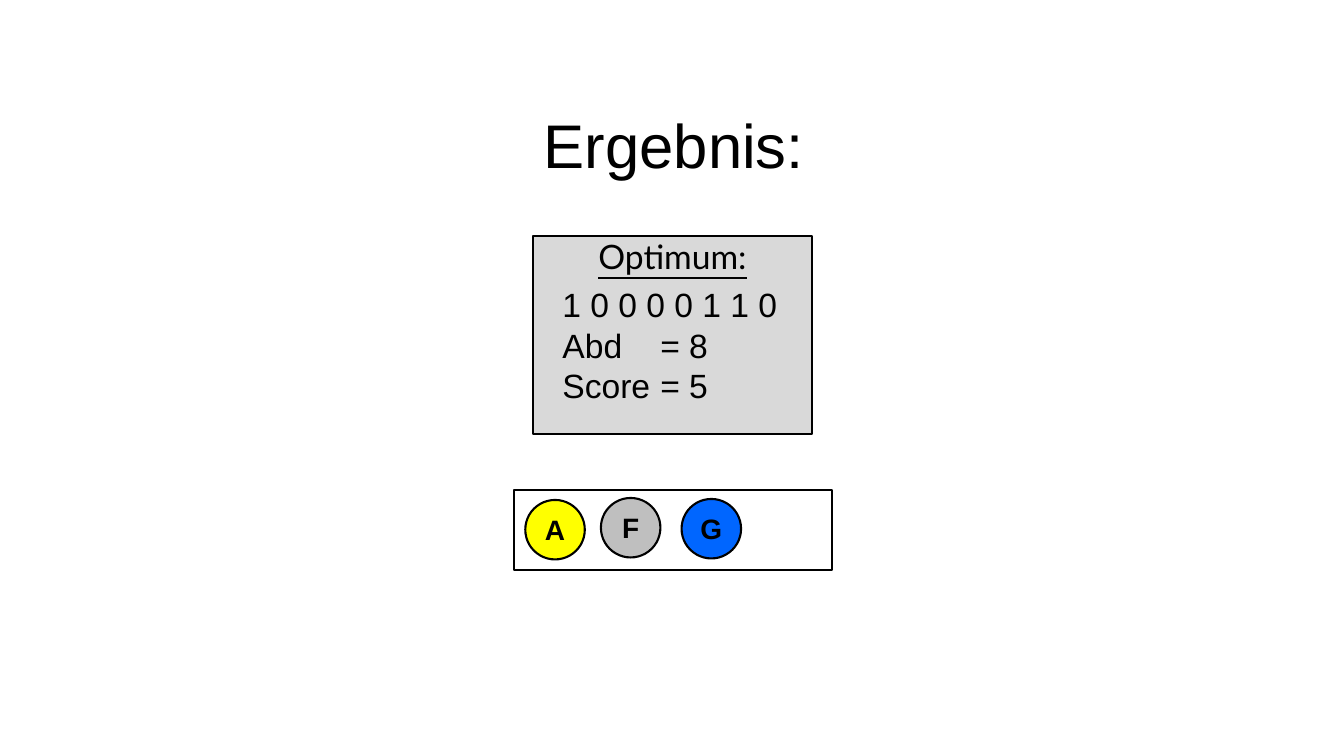
from lxml import etree
from pptx import Presentation, util as u
from pptx.dml.color import RGBColor
from pptx.enum import shapes, text
from pptx.oxml.ns import qn

WIDE, HIGH = 13.33, 7.5
HUES = {"ink": "000000", "white": "FFFFFF", "panel": "D9D9D9",
        "yellow": "FFFF00", "grey": "BFBFBF", "blue": "0066FF"}
TITLE = "Ergebnis:"
HEAD = "Optimum:"
FACTS = ["1 0 0 0 0 1 1 0", "Abd\t= 8", "Score\t= 5"]
ITEMS = [("A", "yellow", 5.21, 4.96), ("F", "grey", 5.96, 4.94),
         ("G", "blue", 6.76, 4.95)]
DISC = 0.59
TAB = 0.97

BIG = {"name": "Arial", "size": u.Pt(44)}
TOP = {"name": "Lato", "size": u.Pt(24), "underline": True}
BODY = {"name": "Arial", "size": u.Pt(24)}
MARK = {"name": "Arial", "size": u.Pt(20), "bold": True}
MID, LEFT = text.PP_ALIGN.CENTER, text.PP_ALIGN.LEFT
RECT, OVAL = shapes.MSO_SHAPE.RECTANGLE, shapes.MSO_SHAPE.OVAL

deck = Presentation()
deck.slide_width, deck.slide_height = u.Inches(WIDE), u.Inches(HIGH)
slide = deck.slides.add_slide(deck.slide_layouts[6])


def color(name):
    return RGBColor.from_string(HUES[name])


def inches(box):
    return [u.Inches(side) for side in box]


def write(shape, lines, font, align=MID, tab=None, **frame):
    body = shape.text_frame
    for key, value in {"word_wrap": True, **frame}.items():
        setattr(body, key, value)
    for num, line in enumerate(lines):
        para = body.add_paragraph() if num else body.paragraphs[0]
        para.alignment = align
        if tab:
            stops = etree.SubElement(para._p.get_or_add_pPr(), qn("a:tabLst"))
            etree.SubElement(stops, qn("a:tab"), pos=str(u.Inches(tab)), algn="l")
        run = para.add_run()
        run.text = line
        for key, value in font.items():
            setattr(run.font, key, value)
        run.font.color.rgb = color("ink")
    return body


def draw(kind, box, fill):
    shape = slide.shapes.add_shape(kind, *inches(box))
    shape.shadow.inherit = False
    shape.fill.solid()
    shape.fill.fore_color.rgb = color(fill)
    shape.line.color.rgb = color("ink")
    shape.line.width = u.Pt(1.5)
    return shape


def label(box, *args, **frame):
    return write(slide.shapes.add_textbox(*inches(box)), *args, **frame)


draw(RECT, (5.1, 4.86, 3.15, 0.8), "white")
for name, fill, left, top in ITEMS:
    disc = draw(OVAL, (left, top, DISC, DISC), fill)
    write(disc, [name], MARK, vertical_anchor=text.MSO_ANCHOR.MIDDLE,
          margin_left=0, margin_right=0)

title = label((4.37, 0.85, 4.63, 1), [TITLE], BIG,
              vertical_anchor=text.MSO_ANCHOR.BOTTOM)
title.paragraphs[0].line_spacing = 0.9

panel = draw(RECT, (5.29, 2.34, 2.76, 1.97), "panel")
write(panel, [HEAD], TOP, vertical_anchor=text.MSO_ANCHOR.TOP, margin_top=0)
label((5.48, 2.77, 2.45, 1.31), FACTS, BODY, LEFT, TAB)

deck.save("out.pptx")
